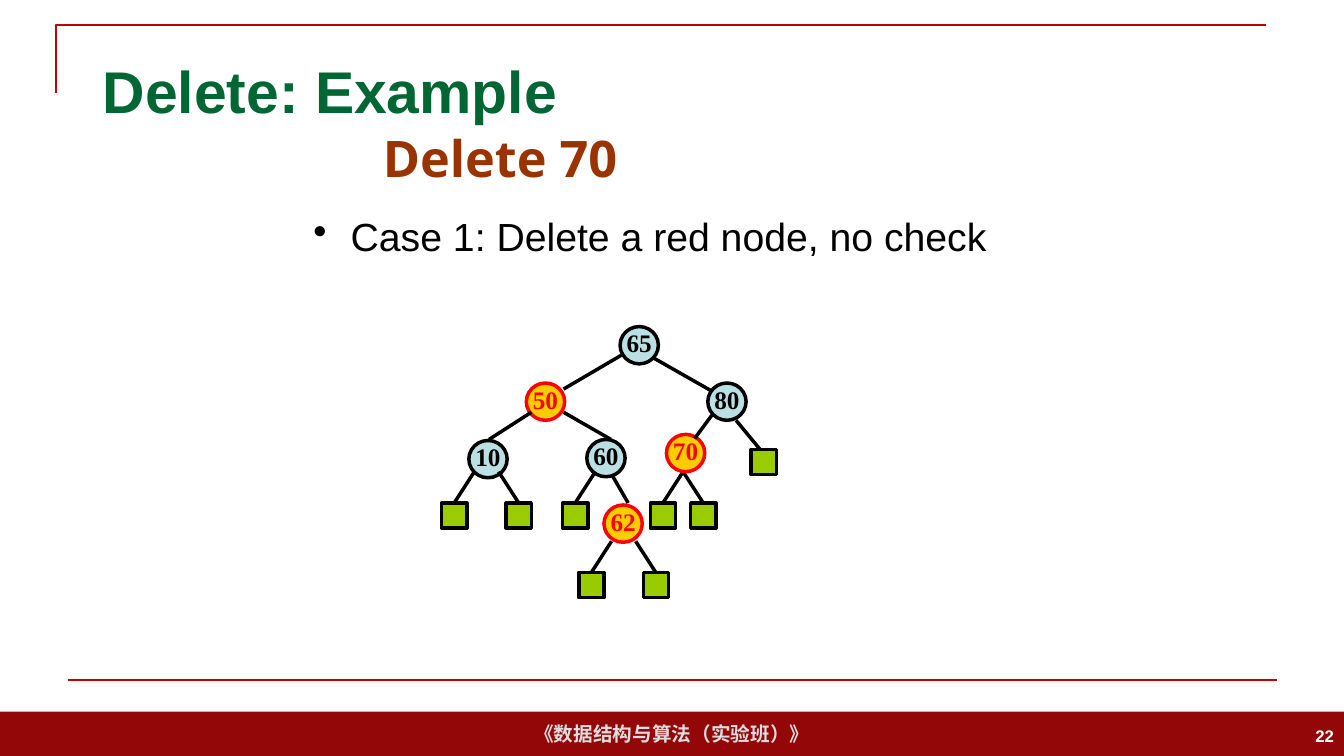
from dataclasses import dataclass

from lxml import etree
from pptx import Presentation
from pptx import util as u
from pptx.dml.color import RGBColor
from pptx.enum import shapes, text
from pptx.oxml import ns


@dataclass(frozen=True)
class Theme:
    heading: str = "006633"
    subheading: str = "993300"
    ink: str = "000000"
    paper: str = "FFFFFF"
    footer: str = "940709"
    footer_text: str = "DDDDDD"
    rule: str = "C00000"
    black_node: str = "BBE0E3"
    red_node: str = "FFCC00"
    red: str = "FF0000"
    leaf: str = "99CC00"
    font: str = "Arial"
    subheading_font: str = "Open Sans"
    node_font: str = "Times New Roman"
    heading_size: int = 42
    subheading_size: int = 36
    body_size: int = 28
    node_size: int = 18
    footer_size: int = 14
    number_size: int = 12
    rule_width: float = 1.5
    tree_width: float = 2.5


# Slide grid: square cells, 133.3 columns by 75 rows
COLUMNS, ROWS = 133.3, 75
CELL = u.Inches(0.1)
NODE_WIDTH, NODE_HEIGHT, LEAF_SIDE = 3.8, 3.7, 2.5


def cells(*counts):
    return [round(count * CELL) for count in counts]


class TreeSlide:
    def __init__(self, presentation, theme):
        self.theme = theme
        self.slide = presentation.slides.add_slide(presentation.slide_layouts[6])

    def style(self, shape, fill=None, line=None, width=None):
        shape.shadow.inherit = False
        if fill:
            shape.fill.solid()
            shape.fill.fore_color.rgb = RGBColor.from_string(fill)
        else:
            shape.fill.background()
        if line:
            shape.line.color.rgb = RGBColor.from_string(line)
            shape.line.width = u.Pt(width)
        else:
            shape.line.fill.background()

    def set_text(self, shape, words, size, color, font=None, bold=True,
                 align=text.PP_ALIGN.LEFT, anchor=text.MSO_ANCHOR.MIDDLE,
                 wrap=True, bullet=None):
        frame = shape.text_frame
        frame.text = words
        frame.word_wrap = wrap
        frame.vertical_anchor = anchor
        paragraph = frame.paragraphs[0]
        paragraph.alignment = align
        if bullet:
            properties = paragraph._p.get_or_add_pPr()
            indent = u.Inches(0.37)
            properties.set("marL", str(indent))
            properties.set("indent", str(-indent))
            etree.SubElement(properties, ns.qn("a:buChar"), char=bullet)
        run_font = paragraph.runs[0].font
        run_font.name = font or self.theme.font
        run_font.size = u.Pt(size)
        run_font.bold = bold
        run_font.color.rgb = RGBColor.from_string(color)

    def label(self, box, words, size, color, **options):
        shape = self.slide.shapes.add_textbox(*cells(*box))
        self.set_text(shape, words, size, color, **options)

    def block(self, kind, box, fill, line=None, width=None):
        shape = self.slide.shapes.add_shape(kind, *cells(*box))
        self.style(shape, fill, line, width)
        return shape

    def line(self, start, end, color=None, width=None):
        connector = self.slide.shapes.add_connector(
            shapes.MSO_CONNECTOR.STRAIGHT, *cells(*start, *end))
        connector.line.color.rgb = RGBColor.from_string(color or self.theme.ink)
        connector.line.width = u.Pt(width or self.theme.tree_width)
        etree.SubElement(connector._element.spPr, ns.qn("a:effectLst"))

    def outline(self, points, color, width):
        start, *others = [cells(*point) for point in points]
        builder = self.slide.shapes.build_freeform(*start)
        builder.add_line_segments(others, close=False)
        self.style(builder.convert_to_shape(), line=color, width=width)

    def node(self, key, left, top, is_red):
        theme = self.theme
        fill, ink = ((theme.red_node, theme.red) if is_red
                     else (theme.black_node, theme.ink))
        shape = self.block(shapes.MSO_SHAPE.OVAL,
                           (left, top, NODE_WIDTH, NODE_HEIGHT),
                           fill, ink, theme.tree_width)
        frame = shape.text_frame
        frame.margin_left = frame.margin_right = frame.margin_top = 0
        frame.margin_bottom = u.Inches(0.05)
        self.set_text(shape, str(key), theme.node_size, ink,
                      font=theme.node_font, align=text.PP_ALIGN.CENTER,
                      wrap=False)

    def leaf(self, left, top, side):
        """Draw a leaf; side is the direction of its parent, 0 for no edge."""
        self.block(shapes.MSO_SHAPE.RECTANGLE, (left, top, LEAF_SIDE, LEAF_SIDE),
                   self.theme.leaf, self.theme.ink, self.theme.tree_width)
        if side:
            middle = left + LEAF_SIDE / 2
            self.line((middle, top), (middle + 2 * side, top - 3.1))


NODES = [
    (65, 61.5, 32.4, False),
    (50, 52.2, 38, True),
    (10, 46.5, 43.7, False),
    (60, 58.2, 43.6, False),
    (62, 59.9, 50.1, True),
    (80, 70.2, 38, False),
]
BRANCHES = [
    ((61.7, 35.2), (55.9, 38.6)),
    ((52.7, 40.9), (48.5, 43.6)),
    ((55.9, 40.9), (60.6, 43.6)),
    ((73, 41.7), (75.4, 44.6)),
    ((64.8, 35.5), (70.6, 38.8)),
    ((60.8, 47.3), (62.3, 49.9)),
]
LEAVES = [
    (43.8, 49.9, 1), (50.2, 49.9, -1),
    (55.8, 49.9, 1),
    (64.5, 49.9, 1), (68.5, 49.9, -1),
    (57.4, 56.8, 1), (63.8, 56.8, -1),
    (74.5, 44.6, 0),
]


def main():
    presentation = Presentation()
    presentation.slide_width, presentation.slide_height = cells(COLUMNS, ROWS)
    theme = Theme()
    page = TreeSlide(presentation, theme)

    # Footer band and frame rules
    footer = page.block(shapes.MSO_SHAPE.RECTANGLE,
                        (0, 70.6, COLUMNS, ROWS - 70.6), theme.footer)
    page.set_text(footer, "《数据结构与算法（实验班）》", theme.footer_size,
                  theme.footer_text, align=text.PP_ALIGN.CENTER, wrap=False)
    page.outline([(5.6, 9.2), (5.6, 2.5), (125.6, 2.5)],
                 theme.rule, theme.rule_width)
    page.line((6.7, 67.5), (126.7, 67.5), theme.rule, theme.rule_width)

    # Headings, case and page number
    page.label((9.2, 4, 115, 9.9), "Delete: Example",
               theme.heading_size, theme.heading)
    page.label((103.3, 71, 30, 4), "22", theme.number_size, theme.paper,
               align=text.PP_ALIGN.RIGHT)
    page.label((6.7, 11.2, 85.8, 8.8), "Delete 70", theme.subheading_size,
               theme.subheading, font=theme.subheading_font,
               align=text.PP_ALIGN.CENTER)
    page.label((30.1, 20.6, 85.8, 5.8), "Case 1: Delete a red node, no check",
               theme.body_size, theme.ink, bold=False,
               anchor=text.MSO_ANCHOR.TOP, bullet="•")

    # Red-black tree
    for node in NODES:
        page.node(*node)
    for branch in BRANCHES:
        page.line(*branch)
    for leaf in LEAVES:
        page.leaf(*leaf)

    # Node to delete, with its link on top
    page.node(70, 66.1, 43.1, True)
    page.line((70.6, 41.2), (68.9, 43.5))

    presentation.save("out.pptx")


if __name__ == "__main__":
    main()
